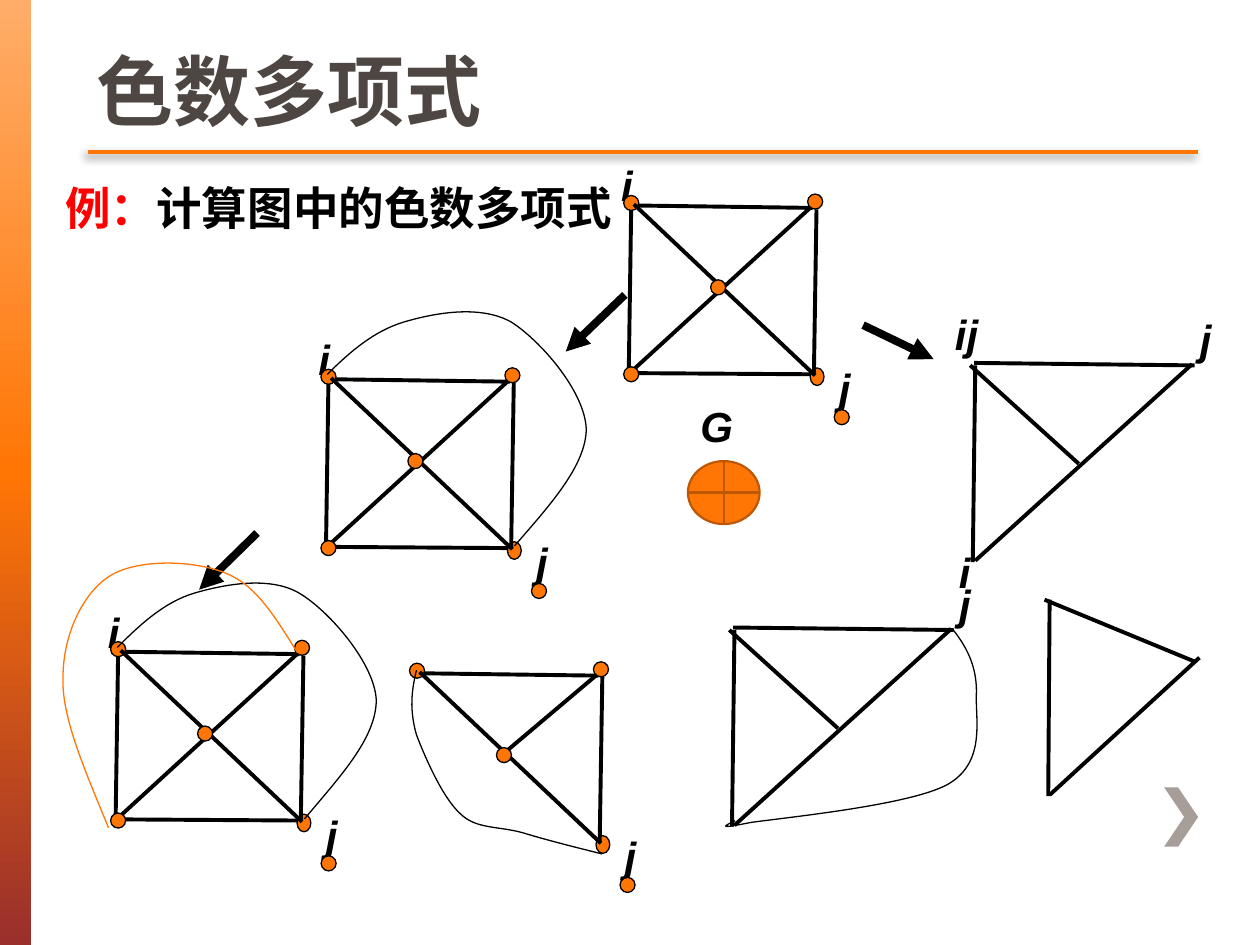
from copy import deepcopy

from lxml.etree import SubElement
from pptx import Presentation
from pptx.dml.color import RGBColor
from pptx.enum.shapes import MSO_CONNECTOR, MSO_SHAPE
from pptx.enum.text import MSO_ANCHOR
from pptx.oxml.ns import qn
from pptx.util import Pt

THEME = {
    "font": "Arial",
    "ink": "000000", "orange": "FF7605", "rust": "BD5704", "red": "FF0000",
    "title": "4D4643", "chevron": "A79D99",
    "sidebar": [(0, "FFAD69"), (0.5, "FF7605"), (1, "9A2F2C")],
    "title_size": 44, "heading_size": 26, "label_size": 24,
    "edge": 2.25, "thin": 0.75, "arrow": 4.5, "rule": 2.5, "operator": 1.25,
}

TITLE = "色数多项式"
HEADING = [("例：", "red"), ("计算图中的色数多项式", "ink")]

# Parts are in drawing order, relative to the top left corner of their graph.
# edge: x1, y1, x2, y2; node: centre x, y, width, height;
# label: left, top, width, text; curve: Bézier points
DOT = (8.6, 8.6)
TOP_EDGE = ("edge", 0, 0, 104.4, 1.4)
LABEL_J = ("label", 112.3, 86.4, 21, "j")
RIM_NODES = [
    ("node", 106.9, 97.9, 7.9, 10.1),
    ("node", 0.7, -1.4, *DOT),
    ("node", 121, 121, *DOT),
]
LONG_EDGES = [
    ("edge", 2.2, -0.7, 105.8, 97.2),
    ("edge", 106.6, 2.2, 105.1, 96.5),
]
UPPER_NODES = [("node", 50.4, 46.8, *DOT), ("node", 105.8, -2.2, *DOT)]

WHEEL = [
    TOP_EDGE,
    ("edge", -0.7, 95.8, 104.4, 96.5),
    ("edge", 0.7, 1.4, -0.7, 95),
    ("edge", 0.7, 95, 103.7, 0.7),
    ("label", -12.2, -29.5, 21, "i"),
    LABEL_J, *RIM_NODES, *LONG_EDGES,
    ("node", 0.7, 96.5, *DOT),
    *UPPER_NODES,
]
OUTER_CURVE = ("curve", (0.2, -2.9), (13.2, -15.8), (26.8, -28.1), (44.1, -33.1),
               (61.4, -38.1), (87.3, -43.2), (104.6, -33.1),
               (121.2, -23), (147.1, 6.5), (147.8, 28.1),
               (147.8, 49.7), (126.9, 72), (106.8, 95.1))
HALF_WHEEL = [
    TOP_EDGE,
    ("edge", 47.5, 48.2, 103.7, 0.7),
    LABEL_J, *RIM_NODES, *LONG_EDGES, *UPPER_NODES,
    ("curve", (0, -1.7), (-2.2, 9.9), (-3.6, 21.4), (0.7, 35.1),
     (5, 48.7), (15.1, 71.8), (25.2, 80.4),
     (34.6, 89.8), (47.5, 86.9), (61.2, 91.2),
     (74.2, 94.8), (90.7, 99.1), (106.6, 103.5)),
]
TRIANGLE = [
    ("edge", 0, 0, 126, 1.4),
    ("edge", 0.7, 1.4, -0.7, 113.8),
    ("edge", 0.7, 113, 124.6, 0.7),
    ("edge", -2.2, 1.4, 59.8, 57.6),
    ("label", 122, -31.7, 21, "j"),
]
MERGED_LABELS = [("label", -18, -34.6, 41, "ij"), ("label", -15.8, 101.5, 21, "i")]
TRIANGLE_CURVE = ("curve", (125.3, 0), (132.5, 10.8), (139, 21.6), (139, 36),
                  (138.3, 51.1), (144.8, 76.3), (123.2, 89.2),
                  (101.6, 101.5), (31, 108), (10.1, 111.6),
                  (-10, 115.2), (-5, 113), (0.8, 110.8))
PLAIN_TRIANGLE = [
    ("edge", 0, 0, -0.8, 112.3),
    ("edge", 0, 111.6, 85.6, 33.1),
    ("edge", -2.9, 0, 82.8, 35.3),
]
GRAPHS = [
    ((360, 117.4), WHEEL),
    ((187, 216.7), [*WHEEL, OUTER_CURVE]),
    ((556.6, 207.4), [*TRIANGLE, *MERGED_LABELS]),
    ((599.8, 342.7), PLAIN_TRIANGLE),
    ((66.8, 372.4), [*WHEEL, OUTER_CURVE]),
    ((419, 358.6), [*TRIANGLE, TRIANGLE_CURVE]),
    ((237.6, 384.7), HALF_WHEEL),
]
ARROWS = [
    (493.2, 185.8, 533.5, 205.2),
    (146.9, 304.6, 113.8, 337),
    (357.1, 168.5, 323.3, 200.9),
]
ORANGE_CURVE = [(169.9, 373), (158.4, 354.2), (146.9, 334.8), (129.6, 327.6),
                (111.6, 320.4), (79.2, 319), (63.4, 329),
                (47.5, 338.4), (36, 362.2), (36, 386.6),
                (35.3, 410.4), (49, 441.4), (61.9, 473)]


def color(name):
    return RGBColor.from_string(THEME[name])


def set_line(shape, name, width):
    shape.line.color.rgb = color(name)
    shape.line.width = Pt(width)


def add_preset(shapes, kind, box, fill, line=None, width=0):
    shape = shapes.add_shape(kind, *map(Pt, box))
    shape.shadow.inherit = False
    shape.fill.solid()
    shape.fill.fore_color.rgb = color(fill)
    if line:
        set_line(shape, line, width)
    else:
        shape.line.fill.background()
    return shape


def add_line(shapes, ends, name, width):
    """Add a straight line and return it with its empty effect list."""
    line = shapes.add_connector(MSO_CONNECTOR.STRAIGHT, *map(Pt, ends))
    set_line(line, name, width)
    return line, SubElement(line._element.spPr, qn("a:effectLst"))


def add_curve(shapes, points, name):
    """Draw Bézier segments: a start point, then three points a segment."""
    builder = shapes.build_freeform(*points[0], scale=Pt(1))
    builder.add_line_segments(points[1:], close=False)
    shape = builder.convert_to_shape()
    shape.shadow.inherit = False
    shape.fill.background()
    set_line(shape, name, THEME["thin"])
    outline = shape._element.xpath(".//a:path")[0]
    segments = outline.findall(qn("a:lnTo"))
    for start in range(0, len(segments), 3):
        cubic = SubElement(outline, qn("a:cubicBezTo"))
        for segment in segments[start:start + 3]:
            cubic.append(segment[0])
            outline.remove(segment)


def add_text(shapes, box, runs, size, italic=False):
    text_frame = shapes.add_textbox(*map(Pt, box)).text_frame
    text_frame.word_wrap = True
    for text, name in runs:
        run = text_frame.paragraphs[0].add_run()
        run.text = text
        run.font.name = THEME["font"]
        run.font.size = Pt(THEME[size])
        run.font.bold = True
        run.font.italic = italic
        run.font.color.rgb = color(name)
    return text_frame


def add_label(shapes, left, top, width, text):
    add_text(shapes, (left, top, width, 36), [(text, "ink")], "label_size", italic=True)


def add_graph(shapes, origin, parts):
    x, y = origin
    group = shapes.add_group_shape().shapes
    for kind, *values in parts:
        if kind == "curve":
            add_curve(group, [(x + dx, y + dy) for dx, dy in values], "ink")
            continue
        a, b, c, d = values
        if kind == "edge":
            add_line(group, (x + a, y + b, x + c, y + d), "ink", THEME["edge"])
        elif kind == "node":
            add_preset(group, MSO_SHAPE.OVAL, (x + a - c / 2, y + b - d / 2, c, d),
                       "orange", "ink", THEME["thin"])
        else:
            add_label(group, x + a, y + b, c, d)


def add_sidebar(shapes):
    fill = add_preset(shapes, MSO_SHAPE.RECTANGLE, (0, 0, 18, 540), "orange").fill
    fill.gradient()
    fill.gradient_angle = 270
    last = fill.gradient_stops[1]._gs
    last.addnext(deepcopy(last))
    for stop, (position, value) in zip(fill.gradient_stops, THEME["sidebar"]):
        stop.position = position
        stop.color.rgb = RGBColor.from_string(value)


def add_title_rule(shapes):
    _, effects = add_line(shapes, (50.4, 87, 684.7, 87), "orange", THEME["rule"])
    shadow = SubElement(effects, qn("a:outerShdw"), blurRad=str(Pt(5)),
                        dist=str(Pt(3)), dir="8100000")
    tint = SubElement(shadow, qn("a:srgbClr"), val=THEME["ink"])
    SubElement(tint, qn("a:alpha"), val="45000")


def main():
    presentation = Presentation()
    presentation.slide_width, presentation.slide_height = Pt(720), Pt(540)
    shapes = presentation.slides.add_slide(presentation.slide_layouts[6]).shapes

    add_sidebar(shapes)
    chevron = add_preset(shapes, MSO_SHAPE.CHEVRON, (665.3, 450, 19.4, 33.8), "chevron")
    chevron.adjustments[0] = 0.59
    add_title_rule(shapes)
    title = add_text(shapes, (48.2, 0, 634.3, 81.4), [(TITLE, "title")], "title_size")
    title.vertical_anchor = MSO_ANCHOR.BOTTOM
    heading = add_text(shapes, (37.4, 96.5, 693.4, 33.8), HEADING, "heading_size")
    heading.margin_left = heading.margin_right = heading.margin_top = heading.margin_bottom = 0
    heading.paragraphs[0].line_spacing = 1.2

    for origin, parts in GRAPHS:
        add_graph(shapes, origin, parts)
    for ends in ARROWS:
        arrow, _ = add_line(shapes, ends, "ink", THEME["arrow"])
        SubElement(arrow.line._get_or_add_ln(), qn("a:tailEnd"), type="triangle")
    add_curve(shapes, ORANGE_CURVE, "orange")
    add_label(shapes, 393.1, 225.4, 41, "G")
    add_preset(shapes, MSO_SHAPE.FLOWCHART_OR, (393.1, 263.5, 41, 36),
               "orange", "rust", THEME["operator"])
    presentation.save("out.pptx")


if __name__ == "__main__":
    main()
